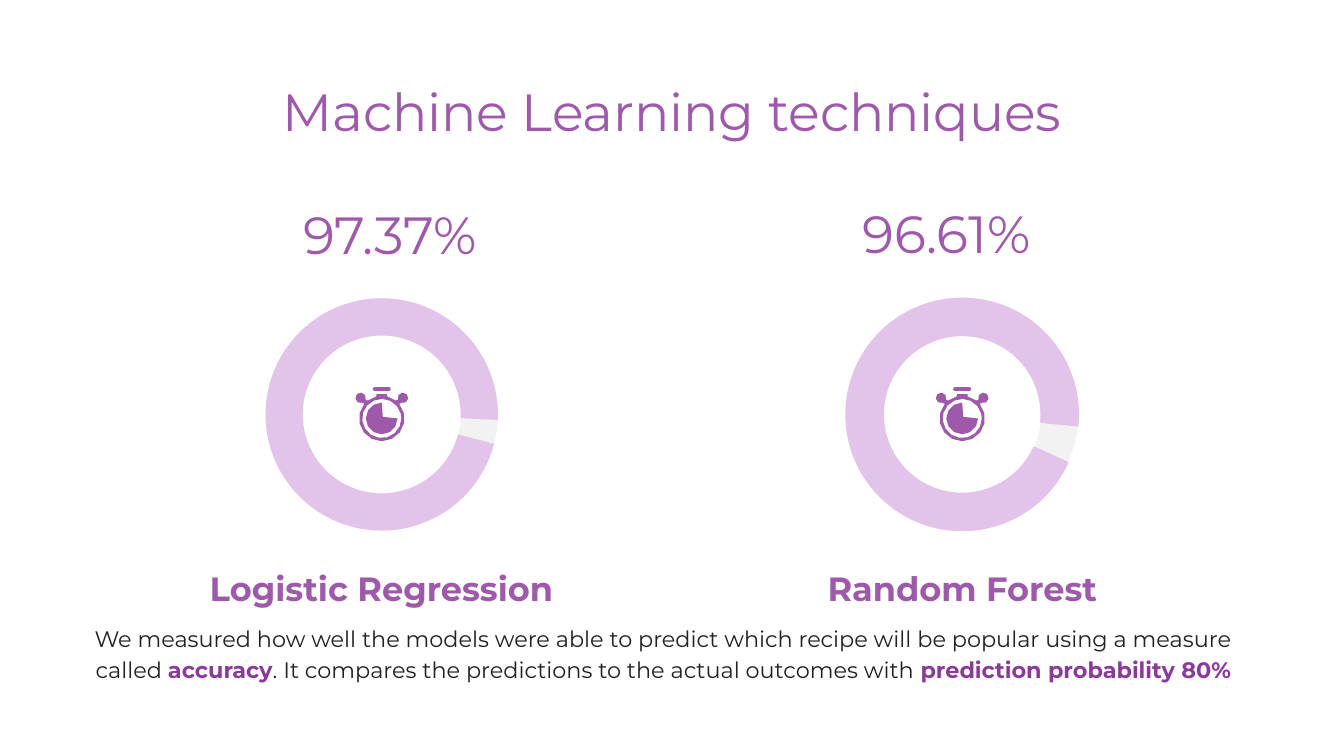
import math

import pptx
import pptx.dml.color
import pptx.enum.shapes
import pptx.enum.text
import pptx.util
from pptx.util import Cm

COLORS = {
    "purple": "9E59AA",
    "accent": "8C399C",
    "lilac": "E3C3E9",
    "track": "F2F2F2",
    "ink": "212121",
}
FONT = "Montserrat"
SHAPES = pptx.enum.shapes.MSO_SHAPE
ANCHORS = pptx.enum.text.MSO_ANCHOR
RING_SIZE = 4.39
RING_TOP = 5.64
ICON_Y = 7.91


def color(name):
    return pptx.dml.color.RGBColor.from_string(COLORS[name])


def add_text(page, area, spans, size, anchor=ANCHORS.TOP, body=False):
    """Add a centred text box; spans are (text, color, bold)."""
    box = page.shapes.add_textbox(*map(Cm, area))
    frame = box.text_frame
    frame.word_wrap = True
    frame.vertical_anchor = anchor
    frame.margin_left = frame.margin_right = Cm(0.25)
    frame.margin_top = frame.margin_bottom = Cm(0.25)
    para = frame.paragraphs[0]
    para.alignment = pptx.enum.text.PP_ALIGN.CENTER
    para.font.name = FONT
    para.font.size = pptx.util.Pt(size)
    if body:
        para.line_spacing = 1.15
        para.space_after = pptx.util.Pt(16)
    for text, tint, bold in spans:
        span = para.add_run()
        span.text = text
        span.font.color.rgb = color(tint)
        span.font.bold = bold


def paint(shape, tint):
    shape.shadow.inherit = False
    shape.fill.solid()
    shape.fill.fore_color.rgb = color(tint)
    shape.line.fill.background()


def add_preset(group, kind, area, tint, adjustments):
    shape = group.shapes.add_shape(kind, *map(Cm, area))
    for index, value in enumerate(adjustments):
        shape.adjustments[index] = value
    paint(shape, tint)
    return shape


def add_ring(page, left, arc_adjustments, outlined):
    """Add a grey track with a lilac progress arc on it."""
    group = page.shapes.add_group_shape()
    area = (left, RING_TOP, RING_SIZE, RING_SIZE)
    add_preset(group, SHAPES.DONUT, area, "track", [0.16])
    arc = add_preset(group, SHAPES.BLOCK_ARC, area, "lilac", arc_adjustments)
    if outlined:
        arc.line.color.rgb = color("lilac")
        arc.line.width = pptx.util.Pt(0.75)


def arc_points(x, y, radius, start, end, steps):
    """Points along an arc, angles in degrees clockwise from the right."""
    angles = [math.radians(start + (end - start) * i / steps) for i in range(steps + 1)]
    return [(x + radius * math.cos(a), y + radius * math.sin(a)) for a in angles]


def add_outline(group, center_x, contours):
    """Add a filled freeform; contour points are offsets from the icon centre."""
    placed = [[(Cm(center_x + x), Cm(ICON_Y + y)) for x, y in contour] for contour in contours]
    builder = group.shapes.build_freeform(*placed[0][0])
    builder.add_line_segments(placed[0][1:])
    for contour in placed[1:]:
        builder.move_to(*contour[0])
        builder.add_line_segments(contour[1:])
    paint(builder.convert_to_shape(), "purple")


def add_stopwatch(page, center_x):
    group = page.shapes.add_group_shape()
    # Three-quarter dial
    dial = arc_points(0, 0, 0.3, 0, 270, 9) + [(0.02, -0.03)]
    add_outline(group, center_x, [dial])
    # Crown
    add_preset(group, SHAPES.ROUNDED_RECTANGLE,
               (center_x - 0.17, ICON_Y - 0.59, 0.34, 0.07), "purple", [0.5])
    # Case with its two buttons
    case = (
        [(-0.1, -0.46), (0.1, -0.46)]
        + arc_points(0, 0, 0.43, -76, -52, 1)
        + arc_points(0.4, -0.39, 0.1, 160, 470, 6)
        + arc_points(0, 0, 0.43, -40, 220, 10)
        + arc_points(-0.4, -0.39, 0.1, 70, 380, 6)
        + arc_points(0, 0, 0.43, 232, 256, 1)
    )
    add_outline(group, center_x, [case, arc_points(0, 0, 0.37, 345, 0, 14)])


def main():
    deck = pptx.Presentation()
    deck.slide_width, deck.slide_height = Cm(25.4), Cm(14.29)
    page = deck.slides.add_slide(deck.slide_layouts[6])

    # Heading and explanation
    add_text(page, (1.98, 1.24, 21.44, 1.6),
             [("Machine Learning techniques", "purple", False)], 28)
    add_text(page, (1.26, 11.49, 22.56, 1.98), [
        ("We measured how well the models were able to predict which recipe "
         "will be popular using a measure called ", "ink", False),
        ("accuracy", "accent", True),
        (". It compares the predictions to the actual outcomes with ", "ink", False),
        ("prediction probability 80%", "accent", True),
    ], 12, body=True)

    # One column per model: name, name left, score, score left and top,
    # ring left, arc angles and thickness, arc outline
    models = [
        ("Logistic Regression", 3.68, "97.37%", 3.85, 3.38, 5.02, [8.8, 1.64, 0.16], False),
        ("Random Forest", 14.66, "96.61%", 14.36, 3.35, 15.99, [14.69, 3.41, 0.16], True),
    ]
    for name, name_left, score, score_left, score_top, ring_left, arc, outlined in models:
        add_text(page, (name_left, 10.38, 7.06, 1.6), [(name, "purple", True)], 18, body=True)
        add_text(page, (score_left, score_top, 7.06, 2.08),
                 [(score, "purple", False)], 28, ANCHORS.MIDDLE)
        add_ring(page, ring_left, arc, outlined)
        add_stopwatch(page, ring_left + RING_SIZE / 2)

    deck.save("out.pptx")


if __name__ == "__main__":
    main()
